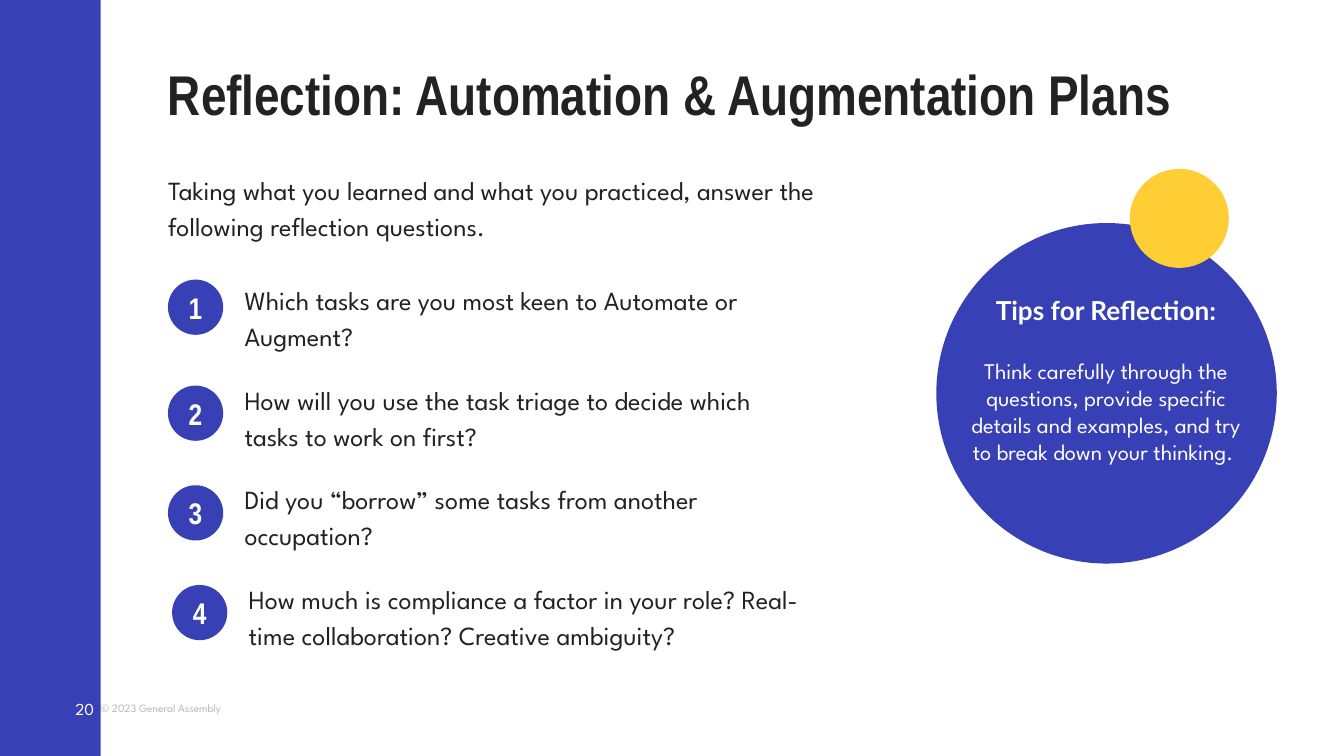
import pptx
import pptx.util
import pptx.dml.color
import pptx.enum.shapes
import pptx.enum.text

Pt = pptx.util.Pt
SHAPE = pptx.enum.shapes.MSO_SHAPE
ALIGN = pptx.enum.text.PP_ALIGN
ANCHOR = pptx.enum.text.MSO_ANCHOR

# Content
TITLE = "Reflection: Automation & Augmentation Plans"
INTRO = "Taking what you learned and what you practiced, answer the following reflection questions."
QUESTIONS = [
    "Which tasks are you most keen to Automate or Augment?",
    "How will you use the task triage to decide which tasks to work on first?",
    "Did you “borrow” some tasks from another occupation?",
    "How much is compliance a factor in your role? Real-time collaboration? Creative ambiguity?",
]
TIPS_HEADING = "Tips for Reflection:"
TIPS_BODY = ("Think carefully through the questions, provide specific details and examples, "
             "and try to break down your thinking. ")
COPYRIGHT = "© 2023 General Assembly"
PAGE = "20"

# Style
COLORS = {"blue": "3740B5", "yellow": "FFCD34", "ink": "222222",
          "white": "FFFFFF", "grey": "B7B7B7"}
HEAD, BODY, TIPS = "Arial Narrow", "League Spartan", "Lato"

# Layout in points
LEFT = 90
ROW_TOP, ROW_STEP = 149.8, 53.4
BADGE, BADGE_DROP, TEXT_INDENT = 29.6, 3.4, 41
LAST_SHIFT = 2.2


def rgb(name):
    return pptx.dml.color.RGBColor.from_string(COLORS[name])


def add_shape(kind, x, y, w, h, color):
    sp = s.shapes.add_shape(kind, Pt(x), Pt(y), Pt(w), Pt(h))
    sp.shadow.inherit = False
    sp.fill.solid()
    sp.fill.fore_color.rgb = rgb(color)
    sp.line.fill.background()
    return sp


def set_frame(sp, inset=0, anchor=ANCHOR.TOP):
    tf = sp.text_frame
    tf.word_wrap = True
    tf.margin_left = tf.margin_right = tf.margin_top = tf.margin_bottom = Pt(inset)
    tf.vertical_anchor = anchor
    return tf


def add_box(x, y, w, h, inset=0, anchor=ANCHOR.TOP):
    return set_frame(s.shapes.add_textbox(Pt(x), Pt(y), Pt(w), Pt(h)), inset, anchor)


def write(p, text, size, font, color, bold=False, align=ALIGN.LEFT, spacing=None):
    p.alignment = align
    if spacing:
        p.line_spacing = spacing
    r = p.add_run()
    r.text = text
    r.font.size = Pt(size)
    r.font.name = font
    r.font.bold = bold
    r.font.color.rgb = rgb(color)


def add_reading_text(x, y, w, h, text):
    p = add_box(x, y, w, h).paragraphs[0]
    p.space_after = Pt(10)
    write(p, text, 14, BODY, "ink", spacing=1.15)


prs = pptx.Presentation()
prs.slide_width, prs.slide_height = Pt(720), Pt(405)
s = prs.slides.add_slide(prs.slide_layouts[6])

# Footer and sidebar
tf = add_box(54, 372.2, 72, 14.4, anchor=ANCHOR.MIDDLE)
write(tf.paragraphs[0], COPYRIGHT, 6, BODY, "grey")
add_shape(SHAPE.RECTANGLE, 0, 0, 54, 405, "blue")
tf = add_box(25.2, 367.2, 25.2, 25.2, anchor=ANCHOR.MIDDLE)
write(tf.paragraphs[0], PAGE, 9, BODY, "white", align=ALIGN.RIGHT)

# Tips circle
add_shape(SHAPE.OVAL, 501.6, 119.5, 182.4, 182.4, "blue")
tf = add_box(508.3, 150.5, 168.5, 121, inset=7.2)
write(tf.paragraphs[0], TIPS_HEADING, 14, TIPS, "white", True, ALIGN.CENTER)
p = tf.add_paragraph()
p.space_before = Pt(17)
write(p, TIPS_BODY, 12, BODY, "white", align=ALIGN.CENTER)
add_shape(SHAPE.OVAL, 605.3, 90.5, 53, 53, "yellow")

# Title and introduction
tf = add_box(LEFT, 36, 559.4, 32.4)
write(tf.paragraphs[0], TITLE, 30, HEAD, "ink", True, spacing=0.9)
add_reading_text(LEFT, 90.7, 378, 43.9, INTRO)

# Numbered questions
for i, question in enumerate(QUESTIONS):
    x = LEFT + (LAST_SHIFT if i == len(QUESTIONS) - 1 else 0)
    y = ROW_TOP + i * ROW_STEP
    badge = add_shape(SHAPE.OVAL, x, y + (BADGE_DROP if i else 0), BADGE, BADGE, "blue")
    tf = set_frame(badge, 7.2, ANCHOR.MIDDLE)
    tf.word_wrap = False
    write(tf.paragraphs[0], str(i + 1), 16, HEAD, "white", True, ALIGN.CENTER)
    add_reading_text(x + TEXT_INDENT, y, 301, 36, question)

prs.save("out.pptx")
